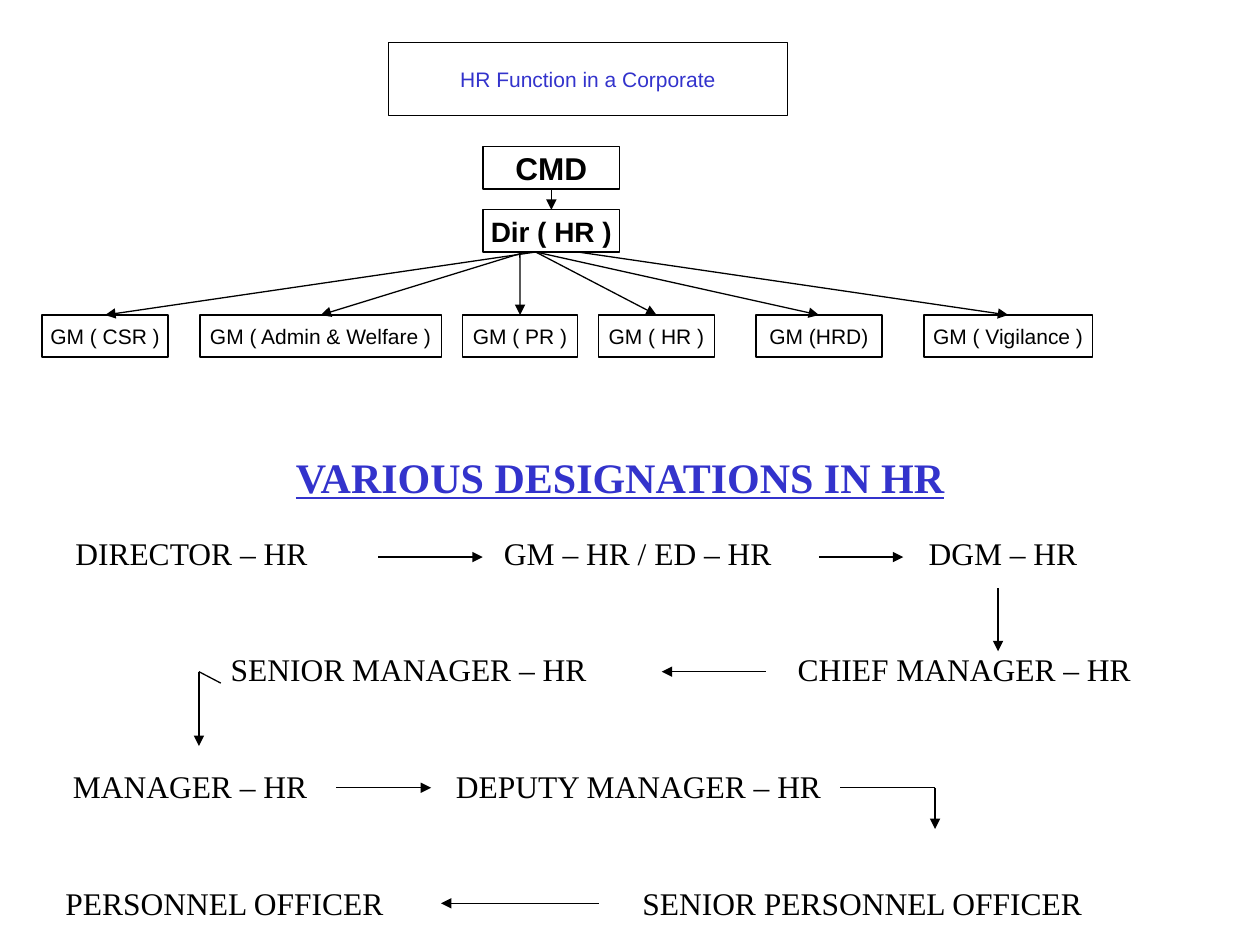
from lxml import etree
from pptx import Presentation
from pptx.dml.color import RGBColor
from pptx.enum.shapes import MSO_CONNECTOR, MSO_SHAPE
from pptx.enum.text import MSO_ANCHOR, MSO_AUTO_SIZE, PP_ALIGN
from pptx.oxml.ns import qn
from pptx.util import Cm, Pt

RECTANGLE = MSO_SHAPE.RECTANGLE
STRAIGHT = MSO_CONNECTOR.STRAIGHT
MIDDLE = MSO_ANCHOR.MIDDLE
NO_AUTOFIT = MSO_AUTO_SIZE.NONE
CENTER, LEFT = PP_ALIGN.CENTER, PP_ALIGN.LEFT
TOP_SIDE, BOTTOM_SIDE = 0, 2

COLORS = {"ink": "000000", "heading": "3333CC"}
SANS, SERIF = "Arial", "Times New Roman"
LINE_WIDTH = Pt(0.75)
BOX_HEIGHT = 0.85

MANAGERS = [
    ("GM ( CSR )", 0, 2.54, 9.95),
    ("GM ( Admin & Welfare )", 3.18, 4.87, 9.74),
    ("GM ( PR )", 8.47, 2.33, 9.63),
    ("GM ( HR )", 11.22, 2.33, 9.95),
    ("GM (HRD)", 14.39, 2.54, 9.95),
    ("GM ( Vigilance )", 17.78, 3.39, 10.8),
]
DESIGNATIONS = [
    ("\tDIRECTOR – HR\tGM – HR / ED – HR\tDGM – HR", (0.2, 8.84, 17.4)),
    ("\tSENIOR MANAGER – HR\tCHIEF MANAGER – HR", (3.33, 14.76)),
    ("\tMANAGER – HR\tDEPUTY MANAGER – HR", (0.15, 7.87)),
    ("PERSONNEL OFFICER\tSENIOR PERSONNEL OFFICER", (11.63,)),
]
STEPS = [
    (6.55, 2.26, 8.66, 2.26),
    (15.44, 2.26, 17.14, 2.26),
    (19.05, 2.89, 19.05, 4.16),
    (14.37, 4.57, 12.27, 4.57),
    (2.94, 4.57, 2.94, 6.07),
    (5.71, 6.91, 7.62, 6.91),
    (17.78, 6.91, 17.78, 7.74),
    (11, 9.24, 7.82, 9.24),
]
CORNERS = [(15.87, 6.91, 17.78, 6.91), (2.94, 4.57, 3.38, 4.8)]


def color(name):
    return RGBColor.from_string(COLORS[name])


def write(paragraph, text, size, face, ink="ink", bold=False, align=CENTER):
    paragraph.text = text
    paragraph.alignment = align
    for run in paragraph.runs:
        run.font.size = Pt(size)
        run.font.name = face
        run.font.bold = bold
        run.font.color.rgb = color(ink)


def format_box(box, text, size, ink="ink", bold=False):
    box.fill.background()
    box.line.color.rgb = color("ink")
    box.line.width = LINE_WIDTH
    frame = box.text_frame
    frame.word_wrap = False
    frame.auto_size = NO_AUTOFIT
    frame.vertical_anchor = MIDDLE
    write(frame.paragraphs[0], text, size, SANS, ink, bold)


def add_box(slide, left, top, width, text, size, bold=False):
    box = slide.shapes.add_shape(RECTANGLE, Cm(left), Cm(top), Cm(width), Cm(BOX_HEIGHT))
    box.shadow.inherit = False
    format_box(box, text, size, bold=bold)
    return box


def add_line(slide, x1, y1, x2, y2, arrow=True):
    line = slide.shapes.add_connector(STRAIGHT, Cm(x1), Cm(y1), Cm(x2), Cm(y2))
    line.line.color.rgb = color("ink")
    line.line.width = LINE_WIDTH
    if arrow:
        etree.SubElement(line.line._get_or_add_ln(), qn("a:tailEnd"), type="triangle")
    etree.SubElement(line._element.spPr, qn("a:effectLst"))
    return line


def set_tabs(paragraph, stops):
    tabs = etree.SubElement(paragraph._p.get_or_add_pPr(), qn("a:tabLst"))
    for stop in stops:
        etree.SubElement(tabs, qn("a:tab"), pos=str(Cm(stop)), algn="l")


def place_title(slide, left, top, width, height):
    title = slide.shapes.title
    title.left, title.top = Cm(left), Cm(top)
    title.width, title.height = Cm(width), Cm(height)
    format_box(title, "HR Function in a Corporate", 12, "heading")


def draw_organisation(slide, left, top):
    head_left, head_width = left + 8.89, 2.75
    director_top = top + 1.27
    manager_top = top + 3.39
    chairman = add_box(slide, head_left, top, head_width, "CMD", 18, True)
    director = add_box(slide, head_left, director_top, head_width, "Dir ( HR )", 16, True)
    center = head_left + head_width / 2
    reporting = add_line(slide, center, top + BOX_HEIGHT, center, director_top)
    reporting.begin_connect(chairman, BOTTOM_SIDE)
    reporting.end_connect(director, TOP_SIDE)
    for role, offset, width, start in MANAGERS:
        manager = add_box(slide, left + offset, manager_top, width, role, 12)
        branch = add_line(slide, left + start, director_top + BOX_HEIGHT,
                          left + offset + width / 2, manager_top)
        branch.end_connect(manager, TOP_SIDE)


def draw_designations(slide, left, top, width, height):
    listing = slide.shapes.add_textbox(Cm(left), Cm(top), Cm(width), Cm(height))
    frame = listing.text_frame
    frame.word_wrap = True
    heading = frame.paragraphs[0]
    write(heading, "VARIOUS DESIGNATIONS IN HR", 24, SERIF, "heading", True)
    heading.runs[0].font.underline = True
    for index, (roles, stops) in enumerate(DESIGNATIONS):
        row = frame.add_paragraph()
        set_tabs(row, stops)
        row.space_before = Pt(45 if index else 18.5)
        write(row, roles, 18, SERIF, align=LEFT)
    for lines, arrow in ((STEPS, True), (CORNERS, False)):
        for x1, y1, x2, y2 in lines:
            add_line(slide, left + x1, top + y1, left + x2, top + y2, arrow)


def main():
    deck = Presentation()
    deck.slide_width, deck.slide_height = Cm(25.4), Cm(19.05)
    slide = deck.slides.add_slide(deck.slide_layouts[5])
    place_title(slide, 7.83, 0.85, 8.05, 1.48)
    draw_organisation(slide, 0.85, 2.96)
    draw_designations(slide, 1.07, 8.97, 22.86, 9.65)
    deck.save("out.pptx")


if __name__ == "__main__":
    main()
